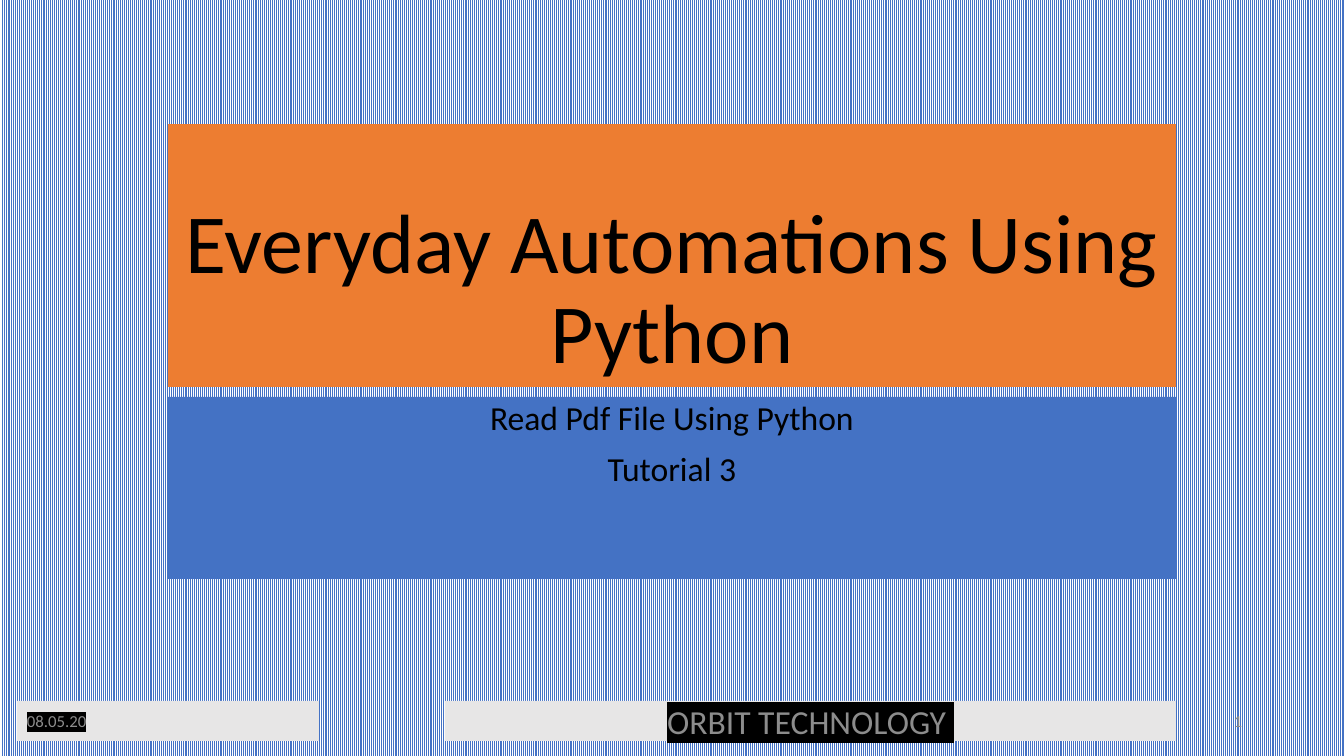
import dataclasses

import lxml.etree
import pptx
import pptx.dml.color
import pptx.enum.dml
import pptx.enum.shapes
import pptx.enum.text
import pptx.oxml.ns
import pptx.slide
import pptx.text.text
import pptx.util

ALIGN = pptx.enum.text.PP_ALIGN
ANCHOR = pptx.enum.text.MSO_ANCHOR
EMU_PER_PX = 914400 / 100.8
FONT = "Calibri"
BLACK, WHITE, GREY = "000000", "FFFFFF", "8C8C8C"
BLUE, ORANGE, PALE = "4472C4", "ED7D31", "E7E6E6"
BODY_LEFT, BODY_WIDTH = 168, 1008
FOOT_TOP, FOOT_HEIGHT = 701, 40


@dataclasses.dataclass(frozen=True)
class Panel:
    """A text panel, measured in pixels, with its text style."""
    text: str
    left: int
    top: int
    width: int
    height: int
    size: int
    fill: str | None = None
    color: str = BLACK
    align: ALIGN = ALIGN.CENTER
    anchor: ANCHOR = ANCHOR.MIDDLE
    line_spacing: float = 1.0
    space_before: int = 0
    highlight: str | None = None


PANELS = [
    Panel("Everyday Automations Using Python", BODY_LEFT, 124, BODY_WIDTH, 263, 60,
          ORANGE, anchor=ANCHOR.BOTTOM, line_spacing=0.9),
    Panel("Read Pdf File Using Python\nTutorial 3", BODY_LEFT, 397, BODY_WIDTH, 182, 24,
          BLUE, anchor=ANCHOR.TOP, line_spacing=0.9, space_before=10),
    Panel("08.05.20", 17, FOOT_TOP, 302, FOOT_HEIGHT, 12,
          PALE, GREY, ALIGN.LEFT, highlight=BLACK),
    Panel("ORBIT TECHNOLOGY ", 445, FOOT_TOP, 731, FOOT_HEIGHT, 24,
          PALE, GREY, highlight=BLACK),
    Panel("1", 950, FOOT_TOP, 302, FOOT_HEIGHT, 12, color=GREY, align=ALIGN.RIGHT),
]


def px(n: int) -> pptx.util.Emu:
    """Turn pixels into EMU."""
    return pptx.util.Emu(round(n * EMU_PER_PX))


def rgb(value: str) -> pptx.dml.color.RGBColor:
    """Turn a hex string into a colour."""
    return pptx.dml.color.RGBColor.from_string(value)


def highlight_run(r: pptx.text.text._Run, color: str) -> None:
    """Put a highlight colour behind a run that has a solid text fill."""
    qn = pptx.oxml.ns.qn
    mark = lxml.etree.Element(qn("a:highlight"))
    lxml.etree.SubElement(mark, qn("a:srgbClr"), val=color)
    r.font._element.find(qn("a:solidFill")).addnext(mark)


def draw_panel(s: pptx.slide.Slide, panel: Panel) -> None:
    """Draw a filled panel, or a bare text box when it has no fill."""
    box = [px(n) for n in (panel.left, panel.top, panel.width, panel.height)]
    if panel.fill:
        sp = s.shapes.add_shape(pptx.enum.shapes.MSO_SHAPE.RECTANGLE, *box)
        sp.shadow.inherit = False
        sp.fill.solid()
        sp.fill.fore_color.rgb = rgb(panel.fill)
        sp.line.fill.background()
    else:
        sp = s.shapes.add_textbox(*box)
    tf = sp.text_frame
    tf.word_wrap = True
    tf.vertical_anchor = panel.anchor
    tf.text = panel.text
    for p in tf.paragraphs:
        p.alignment = panel.align
        p.line_spacing = panel.line_spacing
        p.space_before = pptx.util.Pt(panel.space_before)
        for r in p.runs:
            r.font.name = FONT
            r.font.size = pptx.util.Pt(panel.size)
            r.font.color.rgb = rgb(panel.color)
            if panel.highlight:
                highlight_run(r, panel.highlight)


def draw_background(s: pptx.slide.Slide) -> None:
    """Fill the background with light vertical stripes."""
    fill = s.background.fill
    fill.patterned()
    fill.pattern = pptx.enum.dml.MSO_PATTERN.LIGHT_VERTICAL
    fill.fore_color.rgb = rgb(BLUE)
    fill.back_color.rgb = rgb(WHITE)


def main() -> None:
    """Build and save the title slide."""
    prs = pptx.Presentation()
    prs.slide_width, prs.slide_height = px(1344), px(756)
    s = prs.slides.add_slide(prs.slide_layouts[6])
    draw_background(s)
    for panel in PANELS:
        draw_panel(s, panel)
    prs.save("out.pptx")


main()
